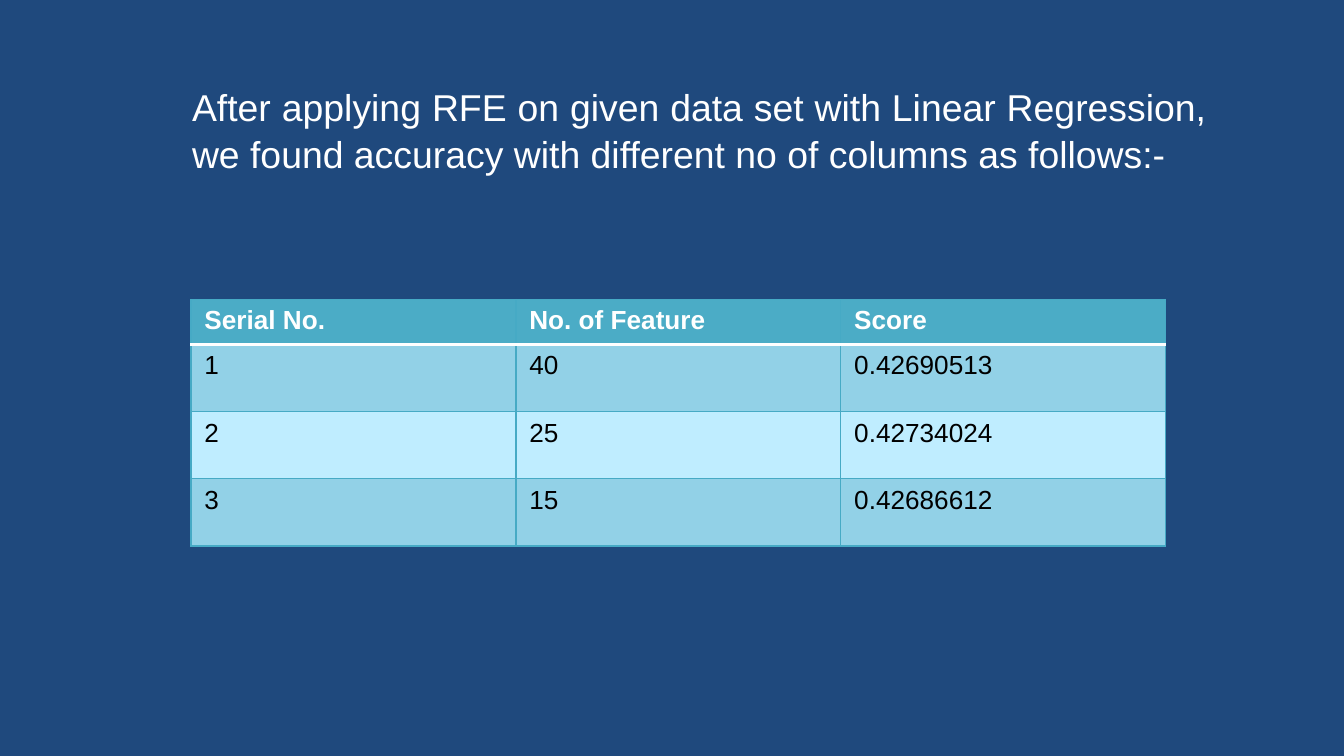
from lxml.etree import SubElement
from pptx import Presentation
from pptx.dml.color import RGBColor
from pptx.enum.text import PP_ALIGN
from pptx.oxml.ns import qn
from pptx.util import Cm, Pt

NAVY = RGBColor(0x1F, 0x49, 0x7D)
WHITE = RGBColor(0xFF, 0xFF, 0xFF)
BLACK = RGBColor(0x00, 0x00, 0x00)
TEAL = RGBColor(0x4B, 0xAC, 0xC6)
GRID_TEAL = RGBColor(0x46, 0xAA, 0xC5)
DARK_BAND = RGBColor(0x92, 0xD1, 0xE7)
LIGHT_BAND = RGBColor(0xBF, 0xED, 0xFF)

FONT = "Arial"
INTRO = ("After applying RFE on given data set with Linear Regression, "
         "we found accuracy with different no of columns as follows:-")
SCORES = [
    ("Serial No.", "No. of Feature", "Score"),
    ("1", "40", "0.42690513"),
    ("2", "25", "0.42734024"),
    ("3", "15", "0.42686612"),
]
HEADER_HEIGHT, ROW_HEIGHT, COLUMN_WIDTH = Cm(0.85), Cm(1.27), Cm(6.14)


def style_text(paragraph, size, color, bold=False):
    for run in paragraph.runs:
        run.font.name = FONT
        run.font.size = Pt(size)
        run.font.bold = bold
        run.font.color.rgb = color


def add_border(cell, side, color, width):
    line = SubElement(cell._tc.get_or_add_tcPr(), qn(f"a:ln{side}"), w=str(Pt(width)))
    fill = SubElement(line, qn("a:solidFill"))
    SubElement(fill, qn("a:srgbClr"), val=str(color))


def style_cell(cell, row):
    # Borders come before the fill; a white rule sits under the header
    rule_side = {0: "B", 1: "T"}.get(row)
    for side in "LRTB":
        if side == rule_side:
            add_border(cell, side, WHITE, 2)
        else:
            add_border(cell, side, GRID_TEAL, 0.75)
    is_header = row == 0
    cell.fill.solid()
    cell.fill.fore_color.rgb = TEAL if is_header else DARK_BAND if row % 2 else LIGHT_BAND
    style_text(cell.text_frame.paragraphs[0], 14, WHITE if is_header else BLACK, is_header)


def add_intro(slide):
    intro = slide.shapes.add_textbox(Cm(3.38), Cm(1.42), Cm(19.69), Cm(1.96))
    intro.text_frame.word_wrap = True
    paragraph = intro.text_frame.paragraphs[0]
    paragraph.text = INTRO
    paragraph.alignment = PP_ALIGN.JUSTIFY
    paragraph.line_spacing = 1.05
    style_text(paragraph, 20, WHITE)


def add_score_table(slide):
    row_count, column_count = len(SCORES), len(SCORES[0])
    scores = slide.shapes.add_table(
        row_count, column_count, Cm(3.61), Cm(5.66),
        COLUMN_WIDTH * column_count, HEADER_HEIGHT + ROW_HEIGHT * (row_count - 1)).table
    for column in scores.columns:
        column.width = COLUMN_WIDTH
    for row, values in enumerate(SCORES):
        scores.rows[row].height = ROW_HEIGHT if row else HEADER_HEIGHT
        for column, value in enumerate(values):
            cell = scores.cell(row, column)
            cell.text_frame.text = value
            style_cell(cell, row)


def main():
    presentation = Presentation()
    presentation.slide_width, presentation.slide_height = Cm(25.4), Cm(14.29)
    slide = presentation.slides.add_slide(presentation.slide_layouts[6])

    # Background
    slide.background.fill.solid()
    slide.background.fill.fore_color.rgb = NAVY

    # Content
    add_score_table(slide)
    add_intro(slide)
    presentation.save("out.pptx")


if __name__ == "__main__":
    main()
